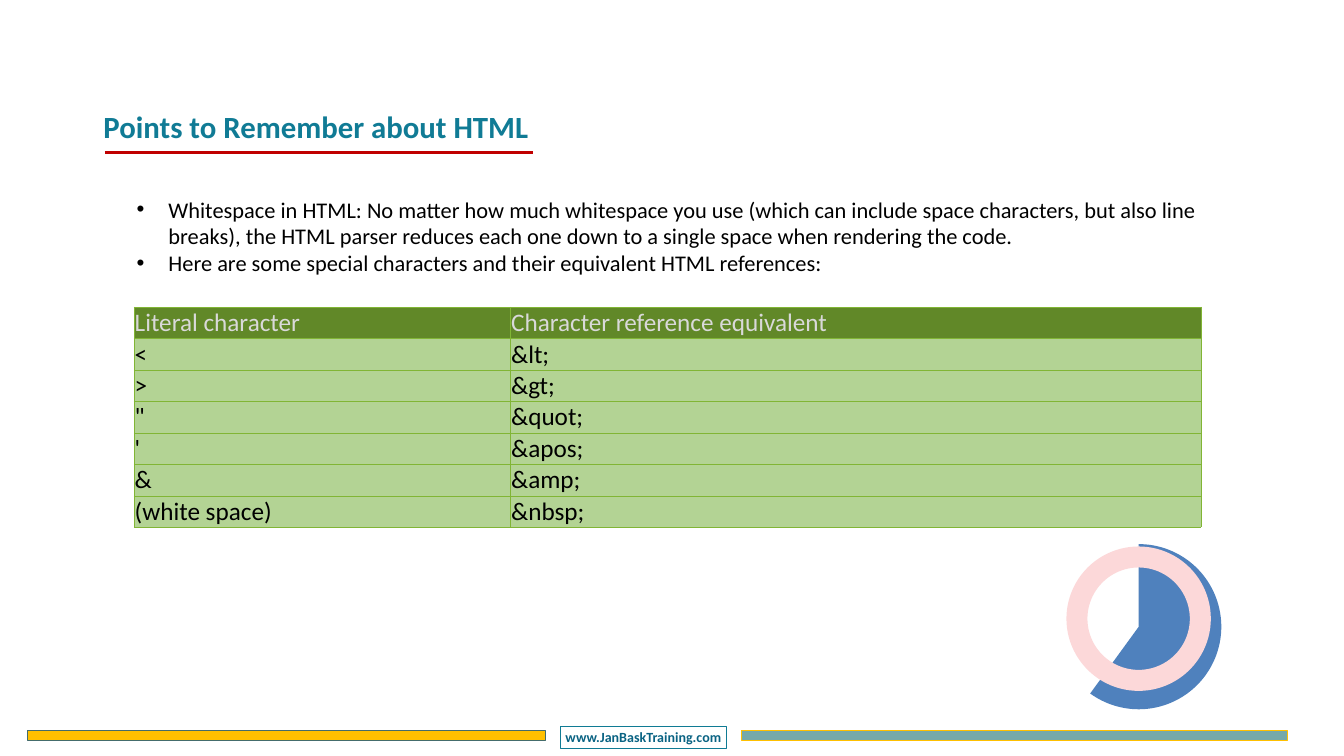
from lxml import etree
from pptx import Presentation
from pptx import util as u
from pptx.chart.data import CategoryChartData
from pptx.dml.color import RGBColor
from pptx.enum import chart as charts, shapes, text
from pptx.oxml import parse_xml
from pptx.oxml.ns import nsdecls, qn

FONT = "Calibri"
BULLETS = [
    "Whitespace in HTML: No matter how much whitespace you use (which can include space characters, "
    "but also line breaks), the HTML parser reduces each one down to a single space when rendering the code.",
    "Here are some special characters and their equivalent HTML references:",
]
CHARACTERS = [
    ("Literal character", "Character reference equivalent"),
    ("<", "&lt;"),
    (">", "&gt;"),
    ('"', "&quot;"),
    ("'", "&apos;"),
    ("&", "&amp;"),
    ("(white space)", "&nbsp;"),
]


def rgb(value):
    return RGBColor.from_string(value)


def box(left, top, width, height):
    return [u.Cm(length) for length in (left, top, width, height)]


def set_text(frame, *lines, size, color="000000", bold=False, align=text.PP_ALIGN.LEFT,
             inset=0.13, anchor=text.MSO_ANCHOR.TOP, wrap=True, indent=None):
    """Fill a text frame, one paragraph per line; an indent in cm adds bullets."""
    frame.word_wrap = wrap
    frame.auto_size = text.MSO_AUTO_SIZE.NONE
    frame.vertical_anchor = anchor
    frame.margin_left = frame.margin_right = u.Cm(inset)
    frame.margin_top = frame.margin_bottom = u.Cm(inset)
    for index, line in enumerate(lines):
        paragraph = frame.add_paragraph() if index else frame.paragraphs[0]
        if indent:
            add_bullet(paragraph, indent)
        format_paragraph(paragraph, line, size, color, bold, align)


def format_paragraph(paragraph, line, size, color, bold, align):
    paragraph.alignment = align
    run = paragraph.add_run()
    run.text = line
    run.font.name = FONT
    run.font.size = u.Pt(size)
    run.font.bold = bold
    run.font.color.rgb = rgb(color)


def add_bullet(paragraph, indent):
    properties = paragraph._p.get_or_add_pPr()
    properties.set("marL", str(u.Cm(indent)))
    properties.set("indent", str(-u.Cm(indent)))
    etree.SubElement(properties, qn("a:buFont"), typeface="Arial")
    etree.SubElement(properties, qn("a:buChar"), char="•")


def add_shape(slide, kind, position, line, width, fill=None):
    shape = slide.shapes.add_shape(kind, *box(*position))
    shape.shadow.inherit = False
    if fill:
        shape.fill.solid()
        shape.fill.fore_color.rgb = rgb(fill)
    else:
        shape.fill.background()
    shape.line.color.rgb = rgb(line)
    shape.line.width = u.Pt(width)
    return shape


def add_footer(slide):
    rectangle = shapes.MSO_SHAPE.RECTANGLE
    add_shape(slide, rectangle, (1.37, 36.83, 26.11, 0.46), "446C6C", 1, "FFC000")
    add_shape(slide, rectangle, (37.36, 36.83, 27.51, 0.46), "FFC000", 1, "76A9A9")
    address = add_shape(slide, rectangle, (28.24, 36.58, 8.38, 1.12), "107B94", 0.75)
    set_text(address.text_frame, "www.JanBaskTraining.com", size=20, color="0A6383", bold=True,
             align=text.PP_ALIGN.CENTER, anchor=text.MSO_ANCHOR.MIDDLE, wrap=False)


def add_title(slide, title):
    shape = slide.shapes.title
    shape.left, shape.top, shape.width, shape.height = box(5.08, 5.28, 47.5, 2.13)
    set_text(shape.text_frame, title, size=44, color="107B95", bold=True)
    underline = slide.shapes.add_connector(
        shapes.MSO_CONNECTOR.STRAIGHT, u.Cm(5.28), u.Cm(7.67), u.Cm(26.87), u.Cm(7.67))
    underline.line.color.rgb = rgb("C00000")
    underline.line.width = u.Pt(4.5)
    etree.SubElement(underline._element.spPr, qn("a:effectLst"))


def add_pie(slide):
    data = CategoryChartData()
    data.categories = ["1", "2"]
    data.add_series("Series 1", (60, 40))
    pie = slide.shapes.add_chart(
        charts.XL_CHART_TYPE.PIE, *box(53.19, 27.38, 8.41, 8.41), data).chart
    pie.has_legend = pie.has_title = False
    pie.font.name = FONT
    pie.font.size = u.Pt(10)
    pie.font.color.rgb = rgb("000000")
    plot = pie.plots[0]
    plot.vary_by_categories = False
    series = plot.series[0]
    series.format.fill.solid()
    series.format.fill.fore_color.rgb = rgb("F23A43")
    series.format.line.fill.background()
    rest = series.points[1].format
    rest.fill.background()
    rest.line.fill.background()
    fill_plot_area(pie)


def fill_plot_area(chart):
    area = chart._chartSpace.chart.plotArea
    for layout in area.findall(qn("c:layout")):
        area.remove(layout)
    area.insert(0, parse_xml(
        f'<c:layout {nsdecls("c")}><c:manualLayout><c:layoutTarget val="inner"/>'
        '<c:xMode val="edge"/><c:yMode val="edge"/><c:x val="0.005"/><c:y val="0.005"/>'
        '<c:w val="0.99"/><c:h val="0.99"/></c:manualLayout></c:layout>'))


def add_borders(cell, color, width):
    properties = cell._tc.get_or_add_tcPr()
    for side in ("lnL", "lnR", "lnT", "lnB"):
        line = etree.SubElement(properties, qn(f"a:{side}"), w=str(u.Pt(width)))
        fill = etree.SubElement(line, qn("a:solidFill"))
        etree.SubElement(fill, qn("a:srgbClr"), val=color)


def add_character_table(slide):
    widths, row_height = (18.97, 34.8), 1.56
    table = slide.shapes.add_table(
        len(CHARACTERS), len(widths),
        *box(6.76, 15.47, sum(widths), row_height * len(CHARACTERS))).table
    table.horz_banding = False
    for column, width in zip(table.columns, widths):
        column.width = u.Cm(width)
    for row_index, row in enumerate(CHARACTERS):
        fill, color = ("B3D394", "000000") if row_index else ("618828", "D9D9D9")
        table.rows[row_index].height = u.Cm(row_height)
        for column_index, content in enumerate(row):
            cell = table.cell(row_index, column_index)
            add_borders(cell, "81B535", 0.5)
            cell.fill.solid()
            cell.fill.fore_color.rgb = rgb(fill)
            cell.vertical_anchor = text.MSO_ANCHOR.BOTTOM
            cell.margin_left = cell.margin_right = cell.margin_top = u.Cm(0.03)
            cell.margin_bottom = 0
            format_paragraph(cell.text_frame.paragraphs[0], content, 36, color, False,
                             text.PP_ALIGN.LEFT)


def main():
    presentation = Presentation()
    presentation.slide_width, presentation.slide_height = u.Cm(67.74), u.Cm(38.1)
    slide = presentation.slides.add_slide(presentation.slide_layouts[5])
    add_footer(slide)
    add_pie(slide)
    add_shape(slide, shapes.MSO_SHAPE.OVAL, (54.28, 28.07, 6.22, 6.22), "FCD8D9", 30)
    add_title(slide, "Points to Remember about HTML")
    points = slide.shapes.add_textbox(*box(6.76, 9.73, 55.75, 5.74))
    set_text(points.text_frame, *BULLETS, size=32, indent=1.6)
    add_character_table(slide)
    presentation.save("out.pptx")


if __name__ == "__main__":
    main()
